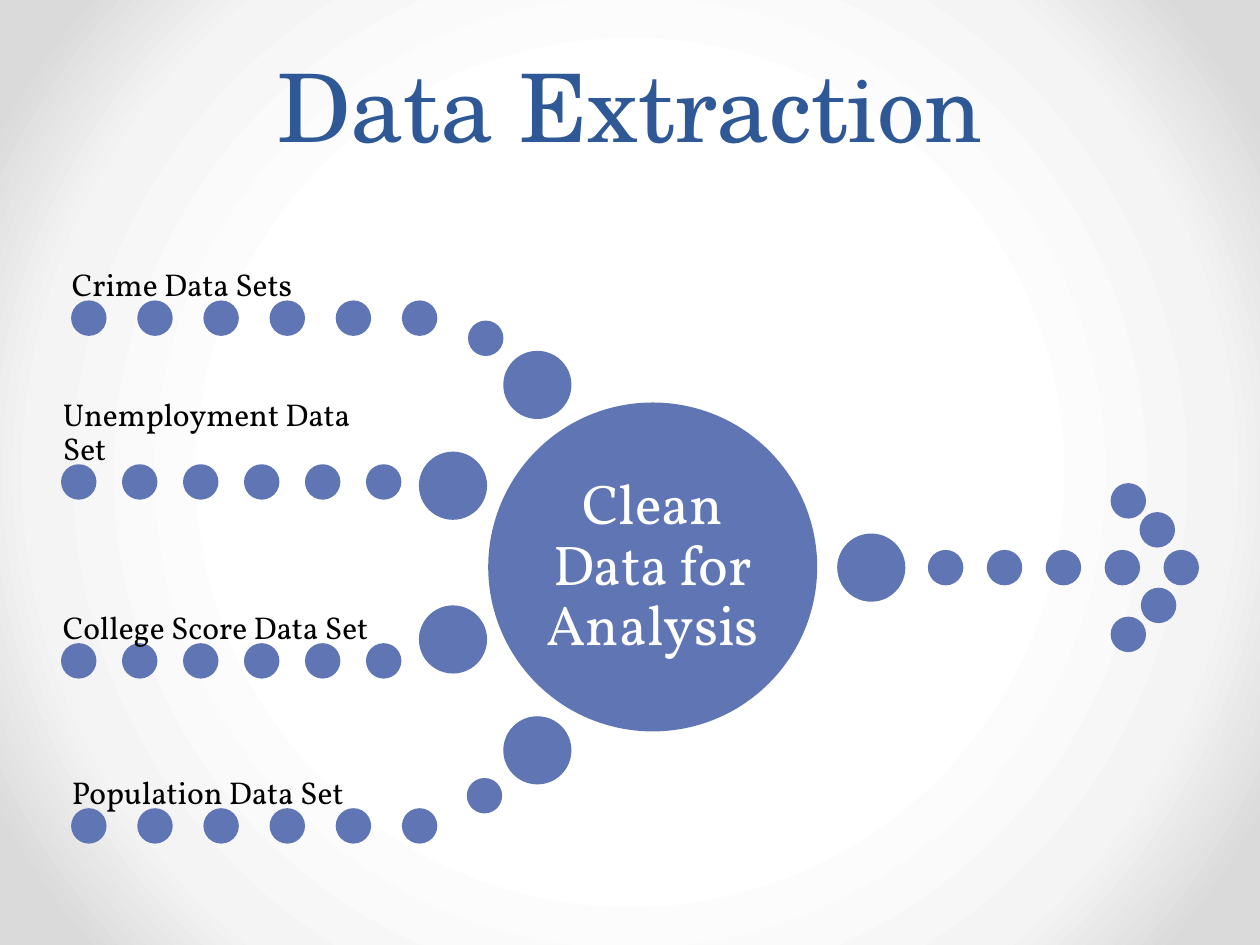
"""Build the data extraction slide: four dotted inputs, a hub and a dotted arrow."""
from lxml import etree
from pptx import Presentation, util as u
from pptx.dml.color import RGBColor
from pptx.enum import shapes, text
from pptx.oxml import parse_xml

THEME = dict(
    head=("TeX Gyre Schola", 54, "2F5897"),
    hub=("Vollkorn", 32, "FFFFFF"),
    label=("Vollkorn", 18, "000000"),
    dot="6076B4",
    stops=[(50, "FFFFFF"), (76, "F4F4F4"), (92, "DADADA")],
)
WIDE, HIGH = 10, 7.5
SMALL, BIG, HUB = 0.25, 0.51, 2.58
TITLE = "Data Extraction"
CORE = "Clean Data for Analysis"
FEEDS = [
    dict(name="Crime Data Sets", left=0.58, top=2.4, step=0.525, width=2.87,
         bend=[(3.73, 2.56)], end=(4.01, 2.8)),
    dict(name="Unemployment Data Set", left=0.5, top=3.7, step=0.484, width=2.67,
         bend=[], end=(3.34, 3.6)),
    dict(name="College Score Data Set", left=0.5, top=5.12, step=0.484, width=2.67,
         bend=[], end=(3.34, 4.82)),
    dict(name="Population Data Set", left=0.58, top=6.43, step=0.525, width=2.87,
         bend=[(3.72, 6.19)], end=(4.01, 5.7)),
]
COUNT = 6
ARROW = dict(left=7.38, top=4.38, step=0.4675, count=5, end=(6.66, 4.25),
             tip=[(8.83, 3.85), (9.06, 4.08), (9.07, 4.68), (8.83, 4.91)])

NS = "http://schemas.openxmlformats.org/drawingml/2006/main"
PNS = "http://schemas.openxmlformats.org/presentationml/2006/main"


def paint(slide):
    marks = "".join(f'<a:gs pos="{at * 1000}"><a:srgbClr val="{tone}"/></a:gs>'
                    for at, tone in THEME["stops"])
    back = parse_xml(
        f'<p:bg xmlns:p="{PNS}" xmlns:a="{NS}"><p:bgPr><a:gradFill rotWithShape="1">'
        f'<a:gsLst>{marks}</a:gsLst><a:path path="circle">'
        '<a:fillToRect l="50000" t="50000" r="50000" b="50000"/></a:path>'
        '</a:gradFill><a:effectLst/></p:bgPr></p:bg>')
    slide.element.cSld.insert(0, back)


def place(*box):
    return [u.Inches(n) for n in box]


def write(frame, words, style, anchor, align, space, inset=None):
    frame.word_wrap = True
    frame.auto_size = text.MSO_AUTO_SIZE.NONE
    frame.vertical_anchor = anchor
    if inset is not None:
        frame.margin_left = frame.margin_right = u.Inches(inset)
        frame.margin_top = frame.margin_bottom = u.Inches(inset)
    frame.text = words
    para = frame.paragraphs[0]
    para.alignment, para.line_spacing = align, space
    face, size, tone = THEME[style]
    para.font.name, para.font.size = face, u.Pt(size)
    para.font.color.rgb = RGBColor.from_string(tone)


def dot(group, left, top, size=SMALL):
    disc = group.add_shape(shapes.MSO_SHAPE.OVAL, *place(left, top, size, size))
    disc.shadow.inherit = False
    tone = RGBColor.from_string(THEME["dot"])
    disc.fill.solid()
    disc.fill.fore_color.rgb = tone
    disc.line.color.rgb = tone
    disc.line.width = u.Pt(2.25)


def row(group, left, top, step, count):
    for i in range(count):
        dot(group, left + i * step, top)


deck = Presentation()
deck.slide_width, deck.slide_height = place(WIDE, HIGH)
slide = deck.slides.add_slide(deck.slide_layouts[5])
paint(slide)

mid, low = text.MSO_ANCHOR.MIDDLE, text.MSO_ANCHOR.BOTTOM
head = slide.shapes.title
head.left, head.top, head.width, head.height = place(0.5, 0, WIDE - 1, 1.75)
write(head.text_frame, TITLE, "head", mid, text.PP_ALIGN.CENTER, u.Pt(58))

group = slide.shapes.add_group_shape().shapes
row(group, ARROW["left"], ARROW["top"], ARROW["step"], ARROW["count"])
dot(group, *ARROW["end"], BIG)
for spot in ARROW["tip"]:
    dot(group, *spot)

dot(group, 3.89, 3.21, HUB)
core = group.add_textbox(*place(4.27, 3.59, 1.82, 1.82))
write(core.text_frame, CORE, "hub", mid, text.PP_ALIGN.CENTER, 0.9, 0.04)

for feed in FEEDS:
    dot(group, *feed["end"], BIG)
    for spot in feed["bend"]:
        dot(group, *spot)
    row(group, feed["left"], feed["top"], feed["step"], COUNT)
    label = group.add_textbox(
        *place(min(feed["left"], 0.57), feed["top"] - 0.63, feed["width"], 0.64))
    write(label.text_frame, feed["name"], "label", low, text.PP_ALIGN.LEFT, 0.9, 0)

deck.save("out.pptx")
